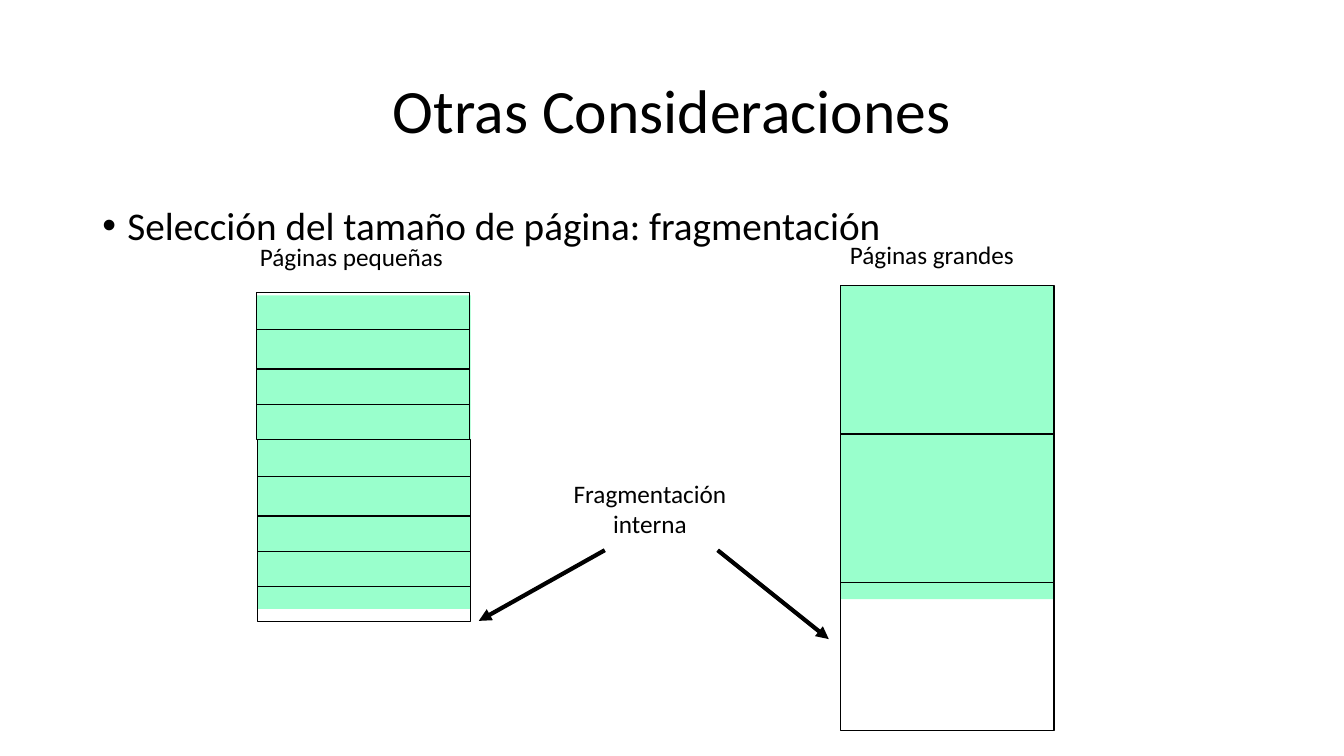
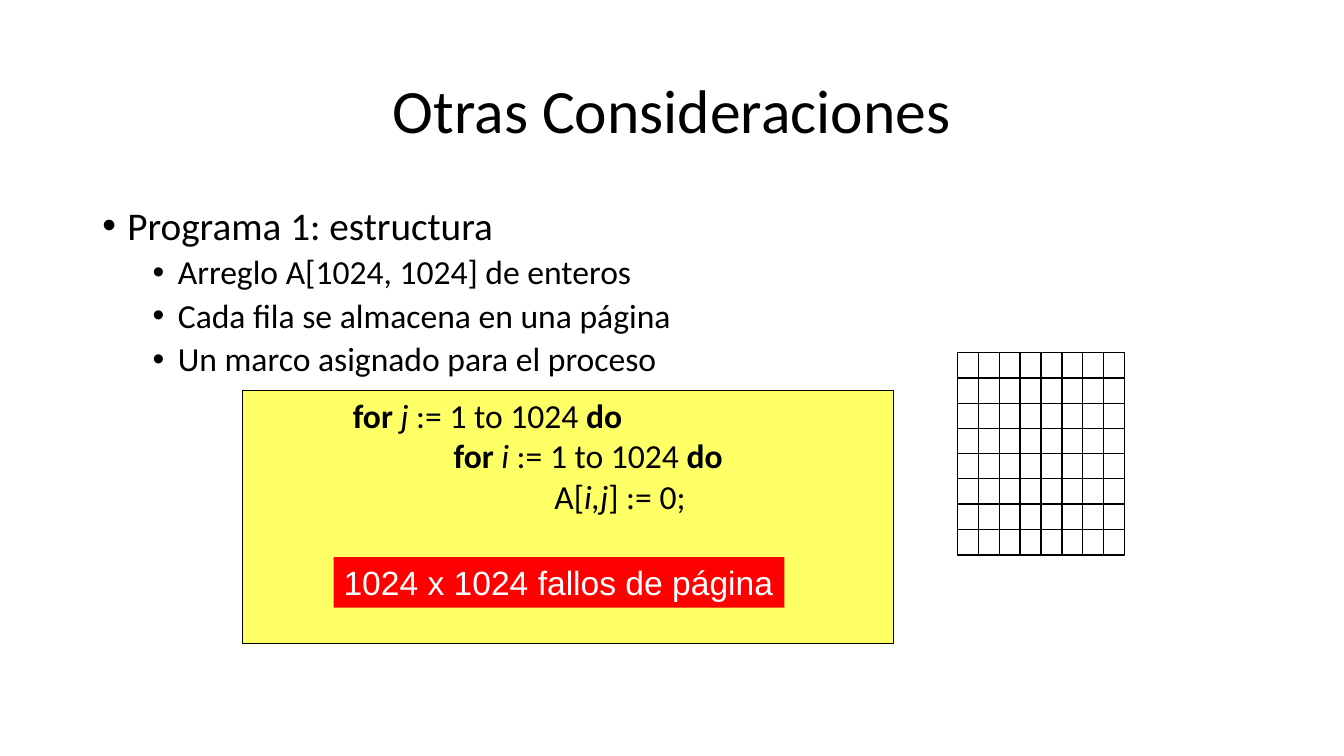
"""Build two slides on page size, fragmentation and page faults."""
from dataclasses import dataclass
from itertools import product

from lxml import etree
from pptx import Presentation
from pptx.dml.color import RGBColor
from pptx.enum import shapes, text
from pptx.oxml import ns
from pptx.util import Pt


@dataclass(frozen=True)
class Theme:
    """Hold the colours, fonts and type sizes."""
    ink: str = "000000"
    paper: str = "FFFFFF"
    mint: str = "99FFCC"
    yellow: str = "FFFF66"
    red: str = "FF0000"
    font: str = "Calibri"
    plain: str = "Arial"
    title: int = 44
    body: int = 28
    code: int = 24
    label: int = 18


T = Theme()
ALIGN = text.PP_ALIGN
SMALL = (26.5, 28, 25.5, 25)
LARGE = (106, 106, 106)


def rgb(code):
    """Turn a hex code into a colour."""
    return RGBColor.from_string(code)


def sub(node, tag, **attrs):
    """Add a drawing element below a node."""
    return etree.SubElement(node, ns.qn(tag), **attrs)


def write(frame, lines, size=T.label, font=T.font, color=T.ink,
          align=ALIGN.LEFT, anchor=text.MSO_ANCHOR.TOP, wrap=True,
          spacing=None):
    """Write lines of text, or of (text, style) runs, and return paragraphs."""
    frame.word_wrap = wrap
    frame.vertical_anchor = anchor
    paras = []
    for n, line in enumerate(lines):
        para = frame.paragraphs[0] if n == 0 else frame.add_paragraph()
        para.alignment = align
        if spacing:
            para.line_spacing = spacing
        for words, style in [(line, "")] if isinstance(line, str) else line:
            run = para.add_run()
            run.text = words
            run.font.name, run.font.size = font, Pt(size)
            run.font.bold, run.font.italic = style == "b", style == "i"
            run.font.color.rgb = rgb(color)
        paras.append(para)
    return paras


def place(slide, box, lines, **fmt):
    """Add a text box at left, top, width, height."""
    frame = slide.shapes.add_textbox(*map(Pt, box)).text_frame
    return write(frame, lines, **fmt)


def rect(slide, box, fill=None, line=None):
    """Add a rectangle with an optional fill and line width."""
    shape = slide.shapes.add_shape(shapes.MSO_SHAPE.RECTANGLE, *map(Pt, box))
    shape.shadow.inherit = False
    if fill:
        shape.fill.solid()
        shape.fill.fore_color.rgb = rgb(fill)
    else:
        shape.fill.background()
    if line:
        shape.line.color.rgb = rgb(T.ink)
        shape.line.width = Pt(line)
    else:
        shape.line.fill.background()
    return shape


def arrow(slide, *ends):
    """Add a thick arrow from one point to another."""
    line = slide.shapes.add_connector(
        shapes.MSO_CONNECTOR.STRAIGHT, *map(Pt, ends))
    line.line.color.rgb = rgb(T.ink)
    line.line.width = Pt(3)
    sub(line.line._get_or_add_ln(), "a:tailEnd", type="triangle")
    sub(line._element.spPr, "a:effectLst")


def indent(para, left, hang=0):
    """Set the left indent and first line offset of a paragraph."""
    props = para._p.get_or_add_pPr()
    props.set("marL", str(Pt(left)))
    props.set("indent", str(Pt(hang)))
    return props


def bullets(slide, head, items=()):
    """Add a main bullet and its second level items."""
    paras = place(slide, (66, 144, 828, 342), [head, *items],
                  size=T.code, spacing=0.9)
    paras[0].runs[0].font.size = Pt(T.body)
    for n, para in enumerate(paras):
        para.space_before = Pt(5 if n else 10)
        props = indent(para, 54 if n else 18, -18)
        sub(props, "a:buFont", typeface="Arial")
        sub(props, "a:buChar", char="•")


def stack(slide, left, top, rows):
    """Pile outlined pages of the given heights."""
    for row in rows:
        rect(slide, (left, top, 152.6, row), line=1)
        top += row


def grid(slide, left, top, count=8, wide=14.9, high=18):
    """Draw a square array of cells."""
    for col, row in product(range(count), repeat=2):
        rect(slide, (left + col * wide, top + row * high, 15, 18.5),
             fill=T.paper, line=1)


def start(deck):
    """Add a blank slide with the shared title."""
    slide = deck.slides.add_slide(deck.slide_layouts[6])
    place(slide, (66, 29, 828, 104), ["Otras Consideraciones"], size=T.title,
          align=ALIGN.CENTER, anchor=text.MSO_ANCHOR.MIDDLE, spacing=0.9)
    return slide


def pages(deck):
    """Compare fragmentation in small and large pages."""
    slide = start(deck)
    bullets(slide, "Selección del tamaño de página: fragmentación")
    for left, top in ((183.6, 211), (600, 204)):
        rect(slide, (left, top, 152.6, 224), fill=T.mint)
    stack(slide, 183, 209, SMALL)
    stack(slide, 183.7, 314, SMALL + SMALL[-1:])
    stack(slide, 600.4, 204, LARGE)
    place(slide, (178.6, 168.5, 147, 29), ["Páginas pequeñas"], wrap=False)
    place(slide, (600, 167.3, 133, 29), ["Páginas grandes"], wrap=False)
    place(slide, (402, 338, 124.5, 51), ["Fragmentación", "interna"],
          align=ALIGN.CENTER, wrap=False)
    arrow(slide, 512.6, 393, 592, 456.5)
    arrow(slide, 432, 393, 342, 443.5)


def faults(deck):
    """Show a column-wise loop and the page faults it causes."""
    slide = start(deck)
    bullets(slide, "Programa 1: estructura",
            ("Arreglo A[1024, 1024] de enteros",
             "Cada fila se almacena en una página",
             "Un marco asignado para el proceso"))
    loops = [[("for", "b"), (f" {name}", "i"), (" := 1 to 1024 ", ""),
              ("do", "b")] for name in "ji"]
    step = [("A[", ""), ("i,j", "i"), ("] := 0;", "")]
    code = rect(slide, (173, 278.6, 465, 181), fill=T.yellow, line=0.75)
    paras = write(code.text_frame, [*loops, step], size=T.code)
    for level, para in enumerate(paras, 1):
        indent(para, 72 * level)
    note = rect(slide, (238.3, 398, 322, 36), fill=T.red)
    write(note.text_frame, ["1024 x 1024 fallos de página"], size=T.code,
          font=T.plain, color=T.paper, wrap=False)
    grid(slide, 684, 252)


def main():
    """Build and save the deck."""
    deck = Presentation()
    deck.slide_width, deck.slide_height = Pt(960), Pt(540)
    pages(deck)
    faults(deck)
    deck.save("out.pptx")


if __name__ == "__main__":
    main()
